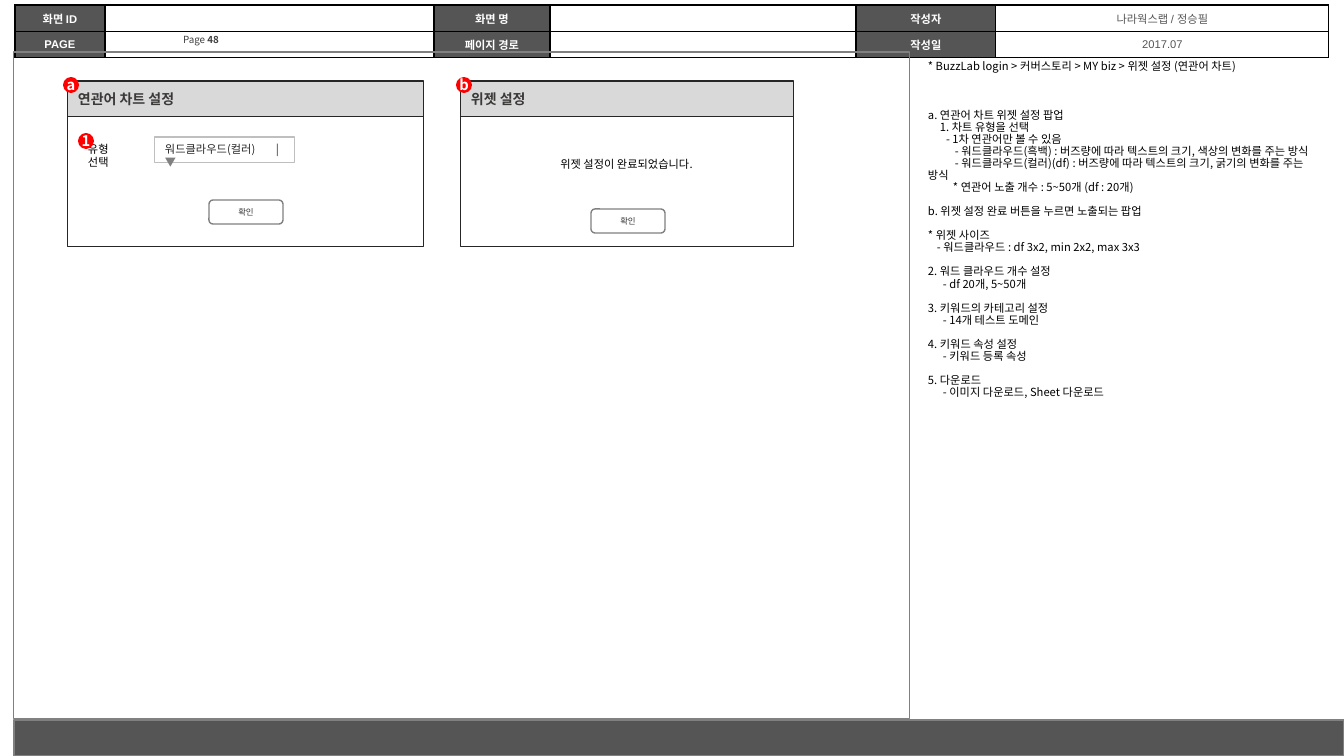
from dataclasses import dataclass, field
from typing import Any, NamedTuple, Optional

from lxml import etree
from pptx import Presentation
from pptx.dml.color import RGBColor
from pptx.enum.shapes import MSO_SHAPE
from pptx.enum.text import MSO_ANCHOR, PP_ALIGN
from pptx.oxml.ns import qn
from pptx.util import Emu, Pt

RECT, ROUND, OVAL = MSO_SHAPE.RECTANGLE, MSO_SHAPE.ROUNDED_RECTANGLE, MSO_SHAPE.OVAL
LEFT, CENTER = PP_ALIGN.LEFT, PP_ALIGN.CENTER
TOP, MIDDLE = MSO_ANCHOR.TOP, MSO_ANCHOR.MIDDLE

BLACK, WHITE = RGBColor(0, 0, 0), RGBColor(255, 255, 255)
RED = RGBColor(0xFF, 0, 0)
SLATE = RGBColor(0x55, 0x55, 0x55)
GRAY = RGBColor(0x80, 0x80, 0x80)
PALE = RGBColor(0xD9, 0xD9, 0xD9)
SILVER = RGBColor(0xBF, 0xBF, 0xBF)
EDGE = RGBColor(0x26, 0x26, 0x26)
TITLE = RGBColor(0x3B, 0x38, 0x38)
LABEL = RGBColor(0x37, 0x37, 0x37)
PAGE = RGBColor(0x40, 0x40, 0x40)

SANS, ARIAL = "Noto Sans CJK KR", "Arial"
SCALE = 914400 / 100.8
LEAD = 8.63  # line pitch of the notes, in points


def px(n: int) -> Emu:
    return Emu(round(n * SCALE))


class Span(NamedTuple):
    text: str
    size: float = 8
    color: RGBColor = BLACK
    bold: bool = False
    name: str = SANS


@dataclass
class Box:
    x: int
    y: int
    w: int
    h: int
    kind: Any = None
    fill: Optional[RGBColor] = None
    line: Optional[RGBColor] = None
    weight: float = 0.75
    spans: list[Span] = field(default_factory=list)
    align: Any = LEFT
    anchor: Any = MIDDLE
    pad: tuple[int, int] = (10, 5)


class Note(NamedTuple):
    text: str
    indent: int = 0
    gap: int = 0


@dataclass
class Popup:
    x: int
    w: int
    title: str
    mark: str
    button: tuple[int, int]


def put(para: Any, spans: list[Span]) -> None:
    """Add formatted runs, with the Korean typeface set too."""
    for span in spans:
        run = para.add_run()
        run.text = span.text
        look = {"size": Pt(span.size), "bold": span.bold, "name": span.name}
        for key, value in look.items():
            setattr(run.font, key, value)
        run.font.color.rgb = span.color
        face = etree.SubElement(run.font._element, qn("a:ea"))
        face.set("typeface", SANS)


def draw(slide: Any, box: Box) -> Any:
    area = [px(n) for n in (box.x, box.y, box.w, box.h)]
    if box.kind is None:
        shape = slide.shapes.add_textbox(*area)
    else:
        shape = slide.shapes.add_shape(box.kind, *area)
        shape.shadow.inherit = False
        for paint, color in ((shape.fill, box.fill), (shape.line.fill, box.line)):
            if color is None:
                paint.background()
            else:
                paint.solid()
                paint.fore_color.rgb = color
        if box.line is not None:
            shape.line.width = Pt(box.weight)
    side, edge = (px(n) for n in box.pad)
    frame = shape.text_frame
    look = {"word_wrap": True, "vertical_anchor": box.anchor, "margin_left": side,
            "margin_right": side, "margin_top": edge, "margin_bottom": edge}
    for key, value in look.items():
        setattr(frame, key, value)
    frame.paragraphs[0].alignment = box.align
    put(frame.paragraphs[0], box.spans)
    return shape


def badge(slide: Any, x: int, y: int, mark: str) -> None:
    draw(slide, Box(x, y, 16, 16, OVAL, RED, spans=[Span(mark, 10.5, WHITE, True)],
                    align=CENTER, pad=(0, 0)))


def window(slide: Any, pop: Popup) -> None:
    """Draw a popup: title bar, body, button and badge."""
    draw(slide, Box(pop.x, 81, pop.w, 36, RECT, PALE, EDGE,
                    spans=[Span(pop.title, 10, TITLE, True)]))
    draw(slide, Box(pop.x, 117, pop.w, 130, RECT, None, EDGE))
    draw(slide, Box(*pop.button, 74, 24, ROUND, WHITE, GRAY, 1,
                    [Span("확인", 6, LABEL)], CENTER))
    badge(slide, pop.x - 5, 77, pop.mark)


def border(cell: Any) -> None:
    props = cell._tc.get_or_add_tcPr()
    for at, side in enumerate(("a:lnL", "a:lnR", "a:lnT", "a:lnB")):
        line = etree.Element(qn(side), w=str(Pt(1)))
        paint = etree.SubElement(line, qn("a:solidFill"))
        etree.SubElement(paint, qn("a:srgbClr"), val=str(BLACK))
        props.insert(at, line)


def header(slide: Any, rows: list[list[str]], cols: list[int]) -> None:
    """Draw the header table; even columns hold labels."""
    table = slide.shapes.add_table(len(rows), len(cols), px(15), px(5),
                                   px(sum(cols)), px(52)).table
    for col, width in zip(table.columns, cols):
        col.width = px(width)
    for r, row in enumerate(rows):
        table.rows[r].height = px(26)
        for c, text in enumerate(row):
            cell, label = table.cell(r, c), c % 2 == 0
            look = {"vertical_anchor": MIDDLE, "margin_top": px(5), "margin_bottom": px(5)}
            for key, value in look.items():
                setattr(cell, key, value)
            if label:
                cell.fill.solid()
                cell.fill.fore_color.rgb = SLATE
            else:
                cell.fill.background()
            border(cell)
            para = cell.text_frame.paragraphs[0]
            para.alignment = CENTER
            if text:
                put(para, [Span(text, 8, WHITE if label else SLATE, label, ARIAL)])
            else:
                etree.SubElement(para._p, qn("a:endParaRPr"), sz="800")


def write(slide: Any, notes: list[Note]) -> None:
    """Fill the side column; gap counts the lines left free above."""
    frame = draw(slide, Box(918, 56, 411, 652, anchor=TOP)).text_frame
    for i, note in enumerate(notes):
        para = frame.add_paragraph() if i else frame.paragraphs[0]
        para.line_spacing = Pt(LEAD)
        if note.gap:
            para.space_before = Pt(LEAD * note.gap)
        props = para._p.get_or_add_pPr()
        props.set("marL", "0")
        props.set("indent", str(px(note.indent)))
        put(para, [Span(note.text)])


ROWS = [["화면 ID", "", "화면 명", "", "작성자", "나라웍스랩 / 정승필"],
        ["PAGE", "", "페이지 경로", "", "작성일", "2017.07"]]
POPUPS = [Popup(68, 356, "연관어 차트 설정", "a", (209, 200)),
          Popup(461, 333, "위젯 설정", "b", (591, 209))]
NOTES = [
    Note("* BuzzLab login > 커버스토리 > MY biz > 위젯 설정 (연관어 차트)"),
    Note("a. 연관어 차트 위젯 설정 팝업", gap=3),
    Note("1. 차트 유형을 선택", 12),
    Note("- 1차 연관어만 볼 수 있음", 18),
    Note("- 워드클라우드(흑백) : 버즈량에 따라 텍스트의 크기, 색상의 변화를 주는 방식", 27),
    Note("- 워드클라우드(컬러)(df) : 버즈량에 따라 텍스트의 크기, 굵기의 변화를 주는 방식", 27),
    Note("* 연관어 노출 개수 : 5~50개 (df : 20개)", 25),
    Note("b. 위젯 설정 완료 버튼을 누르면 노출되는 팝업", gap=1),
    Note("* 위젯 사이즈", gap=1),
    Note("- 워드클라우드 : df 3x2, min 2x2, max 3x3", 9),
    Note("2. 워드 클라우드 개수 설정", gap=1),
    Note("- df 20개, 5~50개", 15),
    Note("3. 키워드의 카테고리 설정", gap=1),
    Note("- 14개 테스트 도메인", 15),
    Note("4. 키워드 속성 설정", gap=1),
    Note("- 키워드 등록 속성", 15),
    Note("5. 다운로드", gap=1),
    Note("- 이미지 다운로드, Sheet 다운로드", 15),
]


def main() -> None:
    deck = Presentation()
    deck.slide_width, deck.slide_height = px(1344), px(756)
    slide = deck.slides.add_slide(deck.slide_layouts[6])
    header(slide, ROWS, [90, 329, 116, 306, 140, 333])
    draw(slide, Box(14, 52, 896, 667, RECT, None, GRAY))
    draw(slide, Box(14, 720, 1330, 36, RECT, SLATE, GRAY, 1))
    draw(slide, Box(129, 27, 144, 25, align=CENTER,
                    spans=[Span("Page ", 7, PAGE), Span("48", 7, PAGE, True)]))
    write(slide, NOTES)
    for pop in POPUPS:
        window(slide, pop)
    draw(slide, Box(78, 137, 46, 36, anchor=TOP, spans=[Span("유형 선택")]))
    pick = draw(slide, Box(155, 137, 140, 26, RECT, WHITE, SILVER, anchor=TOP,
                           spans=[Span("워드클라우드(컬러)\t| ", 8, EDGE), Span("▼", 8, GRAY)]))
    props = pick.text_frame.paragraphs[0]._p.get_or_add_pPr()
    stops = etree.SubElement(props, qn("a:tabLst"))
    etree.SubElement(stops, qn("a:tab"), pos=str(px(111)), algn="l")
    badge(slide, 78, 133, "1")
    draw(slide, Box(460, 152, 333, 24, align=CENTER, spans=[Span("위젯 설정이 완료되었습니다.")]))
    deck.save("out.pptx")


if __name__ == "__main__":
    main()
